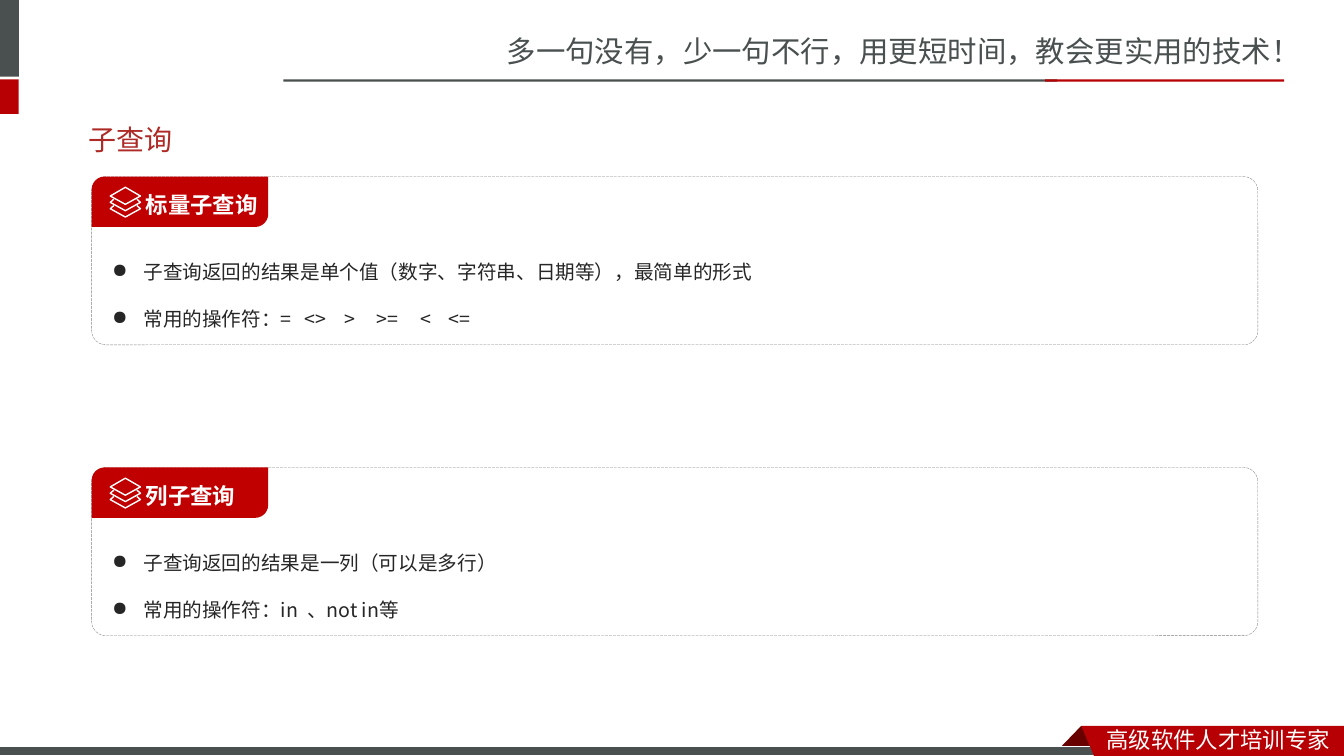
import pptx
import pptx.dml.color
import pptx.enum.dml
import pptx.enum.shapes
import pptx.enum.text
import pptx.oxml
import pptx.oxml.ns
import pptx.util

Cm = pptx.util.Cm
Pt = pptx.util.Pt
RGBColor = pptx.dml.color.RGBColor
KIND = pptx.enum.shapes.MSO_SHAPE
ANCHOR = pptx.enum.text.MSO_ANCHOR

SLATE = RGBColor(0x49, 0x50, 0x4F)
RED = RGBColor(0xB6, 0x00, 0x04)
DARK = RGBColor(0x68, 0x00, 0x00)
TITLE = RGBColor(0xAD, 0x2A, 0x26)
LABEL = RGBColor(0xC0, 0x00, 0x00)
GREY = RGBColor(0x80, 0x80, 0x80)
INK = RGBColor(0x26, 0x26, 0x26)
WHITE = RGBColor(0xFF, 0xFF, 0xFF)

WIDE, HIGH = 33.87, 19.05
SPACE = 3.1  # width in points of one space at body size

# A number between two pieces of text is a gap that many spaces wide.
CARDS = [
    ("标量子查询", [
        ["子查询返回的结果是单个值（数字、字符串、日期等），最简单的形式"],
        ["常用的操作符：=", 3, "<>", 4, ">", 5, ">=", 5, "<", 4, "<="],
    ]),
    ("列子查询", [
        ["子查询返回的结果是一列（可以是多行）"],
        ["常用的操作符：in", 2, "、not in等"],
    ]),
]


class Deck:
    sans = "Noto Sans CJK SC"
    body = "Noto Sans CJK JP"
    head = "Roboto"

    def __init__(self, slide):
        self.slide = slide
        self.shapes = slide.shapes

    def paint(self, shape, fill=None, line=None, width=0.75):
        shape.shadow.inherit = False
        if fill is None:
            shape.fill.background()
        else:
            shape.fill.solid()
            shape.fill.fore_color.rgb = fill
        if line is None:
            shape.line.fill.background()
        else:
            shape.line.color.rgb = line
            shape.line.width = Pt(width)
        return shape

    def block(self, x, y, w, h, fill=None, line=None, width=0.75,
              kind=KIND.RECTANGLE):
        shape = self.shapes.add_shape(kind, Cm(x), Cm(y), Cm(w), Cm(h))
        return self.paint(shape, fill, line, width)

    def outline(self, points, fill=None, line=None, width=0.75, close=True):
        (x, y), *rest = [(Cm(a), Cm(b)) for a, b in points]
        pen = self.shapes.build_freeform(x, y)
        pen.add_line_segments(rest, close=close)
        return self.paint(pen.convert_to_shape(), fill, line, width)

    def frame(self, shape, inset, anchor):
        """Set insets (left, top, right, bottom) and the vertical anchor."""
        frame = shape.text_frame
        frame.word_wrap = True
        frame.vertical_anchor = anchor
        (frame.margin_left, frame.margin_top,
         frame.margin_right, frame.margin_bottom) = map(Cm, inset)
        return frame

    def run(self, para, text, size, color, font, bold=False):
        run = para.add_run()
        run.text = text
        run.font.size = Pt(size)
        run.font.color.rgb = color
        run.font.bold = bold
        run.font.name = font
        east = pptx.oxml.parse_xml(
            f'<a:ea {pptx.oxml.ns.nsdecls("a")} typeface="{font}"/>')
        run.font._element.append(east)
        return run

    def text(self, x, y, w, h, words, size, color, font, anchor=ANCHOR.TOP):
        box = self.shapes.add_textbox(Cm(x), Cm(y), Cm(w), Cm(h))
        frame = self.frame(box, (0.25, 0.13, 0.25, 0.13), anchor)
        self.run(frame.paragraphs[0], words, size, color, font)

    def point(self, para, parts):
        """Fill a bulleted paragraph from pieces of text and gaps."""
        para.alignment = pptx.enum.text.PP_ALIGN.LEFT
        para.line_spacing = 2.0
        props = para._p.get_or_add_pPr()
        props.set("marL", str(Cm(0.79)))
        props.set("indent", str(-Cm(0.79)))
        props.append(pptx.oxml.parse_xml(
            f'<a:buChar {pptx.oxml.ns.nsdecls("a")} char="●"/>'))
        for part in parts:
            gap = isinstance(part, int)
            run = self.run(para, " " if gap else part, 14, INK, self.body)
            if gap:
                run.font._element.set("spc", str(round((part - 1) * SPACE * 100)))

    def stack(self, x, y):
        """Draw the layers icon, its top corner at x, y."""
        top = [(0, 0), (0.38, 0.22), (0, 0.43), (-0.38, 0.22)]
        self.outline([(x + a, y + b) for a, b in top], line=WHITE, width=1)
        edge = [(0.29, 0.3), (0.38, 0.38), (0, 0.59), (-0.38, 0.38), (-0.29, 0.3)]
        for drop in (0, 0.16):
            self.outline([(x + a, y + b + drop) for a, b in edge],
                         line=WHITE, width=1, close=False)

    def card(self, x, y, name, points):
        box = self.block(x, y, 29.39, 4.24, line=GREY, width=0.25,
                         kind=KIND.ROUNDED_RECTANGLE)
        box.adjustments[0] = 0.085
        box.line.dash_style = pptx.enum.dml.MSO_LINE.LONG_DASH
        frame = self.frame(box, (0.41, 1.4, 0.2, 0.41), ANCHOR.TOP)
        for i, parts in enumerate(points):
            para = frame.add_paragraph() if i else frame.paragraphs[0]
            self.point(para, parts)

        tab = self.block(x, y, 4.45, 1.27, LABEL,
                         kind=KIND.ROUND_2_DIAG_RECTANGLE)
        tab.adjustments[0] = 0.258
        tab.adjustments[1] = 0
        frame = self.frame(tab, (1.27, 0, 0.1, 0.2), ANCHOR.MIDDLE)
        para = frame.paragraphs[0]
        para.alignment = pptx.enum.text.PP_ALIGN.LEFT
        para.line_spacing = 1.5
        self.run(para, name, 16, WHITE, self.body, bold=True)
        self.stack(x + 0.85, y + 0.27)


def main():
    show = pptx.Presentation()
    show.slide_width, show.slide_height = Cm(WIDE), Cm(HIGH)
    deck = Deck(show.slides.add_slide(show.slide_layouts[6]))

    # Header
    deck.text(12.52, 0.71, 21.35, 1.19,
              "多一句没有，少一句不行，用更短时间，教会更实用的技术！",
              21, SLATE, deck.sans)
    deck.block(0, 0, 0.48, 1.93, SLATE)
    deck.block(0, 2, 0.47, 0.87, RED)
    deck.block(7.14, 2, 19.5, 0.06, SLATE)
    deck.block(26.34, 2, 6.02, 0.06, RED)

    # Footer
    deck.outline([(27.25, 18.29), (27.82, 18.87), (26.69, 18.87)], DARK)
    deck.block(0, 18.82, 27.91, 0.23, SLATE, WHITE)
    deck.outline([(27.25, 18.29), (WIDE, 18.29), (WIDE, HIGH), (27.57, HIGH)], RED)
    deck.text(27.64, 18.16, 6.23, 0.89, "高级软件人才培训专家",
              16, WHITE, deck.sans)

    # Content
    deck.text(1.98, 2.79, 29.72, 1.45, "子查询", 20, TITLE, deck.head,
              ANCHOR.MIDDLE)
    for i, (name, points) in enumerate(CARDS):
        deck.card(2.31, 4.45 + 7.33 * i, name, points)

    show.save("out.pptx")


if __name__ == "__main__":
    main()
